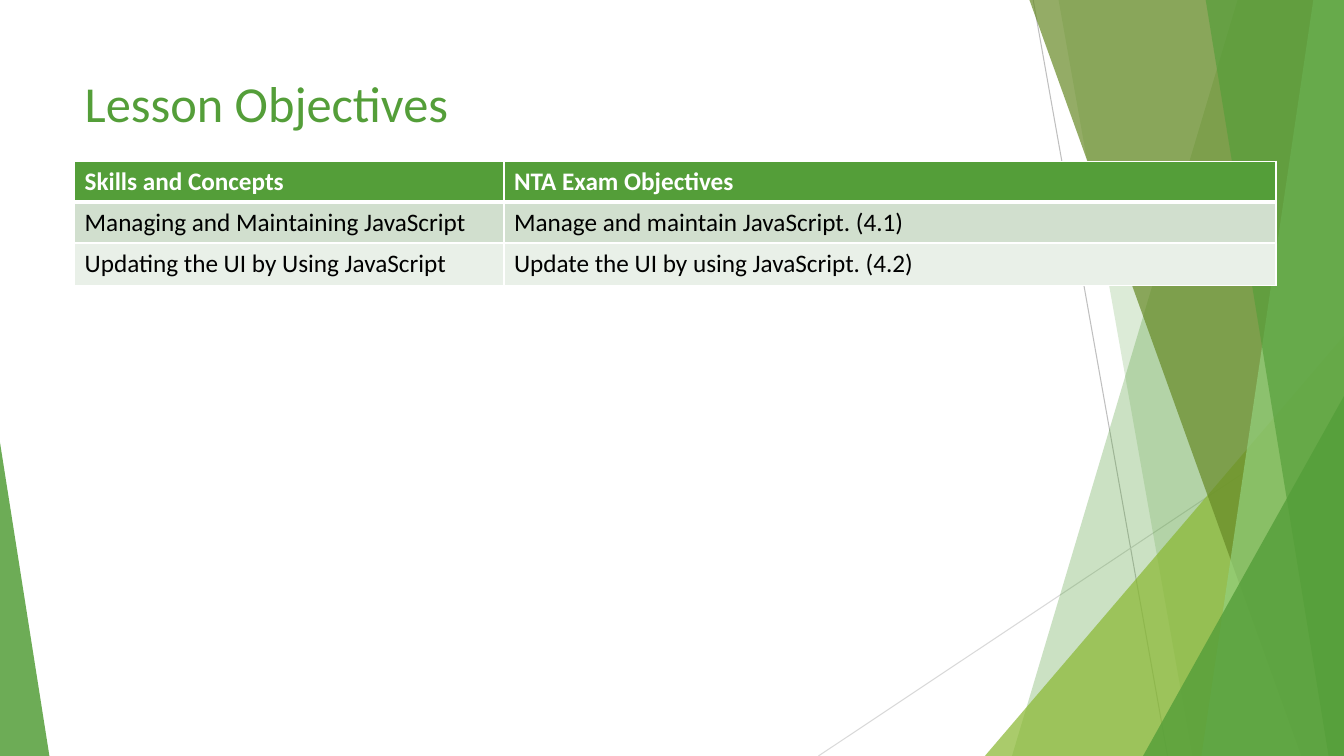
"""Build the lesson objectives slide with its faceted green backdrop."""
from dataclasses import dataclass

import lxml.etree
import pptx
import pptx.dml.color
import pptx.enum.shapes
import pptx.enum.text
import pptx.oxml.ns
import pptx.util

COLOURS = {
    "green": "549E39", "lime": "8AB833", "olive": "678A26", "mint": "93D07D",
    "grey": "BFBFBF", "pale grey": "D9D9D9", "white": "FFFFFF", "black": "000000",
    "band dark": "D1DFCE", "band light": "E9F0E8",
}
FONT = "Calibri"
WIDTH, HEIGHT, TOP = 960, 540, -0.7


@dataclass
class Ray:
    start: tuple[float, float]
    end: tuple[float, float]
    colour: str


@dataclass
class Facet:
    top_left: float
    bottom_left: float
    colour: str
    opacity: int


@dataclass
class Corner:
    left: float
    top: float
    width: float
    apex: float
    colour: str
    opacity: int


@dataclass
class TableRow:
    texts: tuple[str, str]
    height: float
    fill: str
    font: str
    bold: bool
    top_border: float
    bottom_border: float


RAYS = [
    Ray((738, 0), (834, HEIGHT), "grey"),
    Ray((WIDTH, 290), (584.6, HEIGHT), "pale grey"),
]
BACKDROP = [
    Facet(884.2, 722.9, "green", 30),
    Facet(756, 851.8, "green", 20),
    Corner(703.5, 239.8, 256.5, 1, "lime", 72),
    Facet(735.1, 929.5, "olive", 70),
    Facet(938.2, 858.2, "mint", 70),
    Facet(861.1, 949, "green", 65),
    Corner(816.5, 283, 143.5, 1, "green", 80),
    Corner(0, 316.1, 35.3, 0, "green", 85),
]
COLUMN_WIDTHS = (306.7, 551.5)
ROWS = [
    TableRow(("Skills and Concepts", "NTA Exam Objectives"),
             28.8, "green", "white", True, 1, 3),
    TableRow(("Managing and Maintaining JavaScript", "Manage and maintain JavaScript. (4.1)"),
             29.2, "band dark", "black", False, 3, 1),
    TableRow(("Updating the UI by Using JavaScript", "Update the UI by using JavaScript. (4.2)"),
             30.2, "band light", "black", False, 1, 1),
]


def rgb(name: str) -> pptx.dml.color.RGBColor:
    """Look up a named colour."""
    return pptx.dml.color.RGBColor.from_string(COLOURS[name])


def add_child(parent, tag: str, **attributes: str):
    """Append a child element to an XML parent."""
    return lxml.etree.SubElement(parent, pptx.oxml.ns.qn(tag), attributes)


def paint(shape, colour: str, opacity: int) -> None:
    """Give a shape a translucent fill without outline or shadow."""
    shape.shadow.inherit = False
    shape.fill.solid()
    shape.fill.fore_color.rgb = rgb(colour)
    shape.line.fill.background()
    tint = next(shape.element.spPr.iter(pptx.oxml.ns.qn("a:srgbClr")))
    add_child(tint, "a:alpha", val=str(opacity * 1000))


def add_ray(page, ray: Ray) -> None:
    """Draw one thin line of the backdrop."""
    points = [pptx.util.Pt(value) for value in ray.start + ray.end]
    line = page.shapes.add_connector(pptx.enum.shapes.MSO_CONNECTOR.STRAIGHT, *points)
    line.line.color.rgb = rgb(ray.colour)
    line.line.width = pptx.util.Pt(0.75)
    add_child(line.element.spPr, "a:effectLst")


def add_facet(page, facet: Facet) -> None:
    """Draw a full-height panel that ends at the right edge."""
    corners = [(facet.top_left, TOP), (WIDTH, TOP), (WIDTH, HEIGHT),
               (facet.bottom_left, HEIGHT)]
    points = [(pptx.util.Pt(x), pptx.util.Pt(y)) for x, y in corners]
    builder = page.shapes.build_freeform(*points[0])
    builder.add_line_segments(points[1:], close=True)
    paint(builder.convert_to_shape(), facet.colour, facet.opacity)


def add_corner(page, corner: Corner) -> None:
    """Draw a right triangle standing on the bottom edge."""
    bounds = (corner.left, corner.top, corner.width, HEIGHT - corner.top)
    shape = page.shapes.add_shape(pptx.enum.shapes.MSO_SHAPE.ISOSCELES_TRIANGLE,
                                  *[pptx.util.Pt(value) for value in bounds])
    shape.adjustments[0] = corner.apex
    paint(shape, corner.colour, corner.opacity)


def add_span(para, text: str, size: float, colour: str, bold: bool = False) -> None:
    """Add one formatted run to a paragraph."""
    span = para.add_run()
    span.text = text
    span.font.name = FONT
    span.font.size = pptx.util.Pt(size)
    span.font.bold = bold
    span.font.color.rgb = rgb(colour)


def place_title(page) -> None:
    """Move and fill the title placeholder in front of the backdrop."""
    title = page.shapes.title
    title.element.getparent().append(title.element)
    title.left, title.top = pptx.util.Pt(53.3), pptx.util.Pt(48)
    title.width, title.height = pptx.util.Pt(676.8), pptx.util.Pt(104)
    title.text_frame.auto_size = pptx.enum.text.MSO_AUTO_SIZE.NONE
    title.text_frame.vertical_anchor = pptx.enum.text.MSO_ANCHOR.TOP
    para = title.text_frame.paragraphs[0]
    para.alignment = pptx.enum.text.PP_ALIGN.LEFT
    add_span(para, "Lesson Objectives", 36, "green")


def add_borders(cell, top: float, bottom: float) -> None:
    """Draw white borders around a table cell."""
    properties = cell._tc.get_or_add_tcPr()
    for side, width in (("L", 1), ("R", 1), ("T", top), ("B", bottom)):
        border = add_child(properties, f"a:ln{side}", w=str(pptx.util.Pt(width)))
        add_child(add_child(border, "a:solidFill"), "a:srgbClr", val=COLOURS["white"])


def add_objectives(page) -> None:
    """Add the table of skills and exam objectives."""
    bounds = (53.3, 115.2, sum(COLUMN_WIDTHS), sum(row.height for row in ROWS))
    table = page.shapes.add_table(len(ROWS), len(COLUMN_WIDTHS),
                                  *[pptx.util.Pt(value) for value in bounds]).table
    for column, width in zip(table.columns, COLUMN_WIDTHS):
        column.width = pptx.util.Pt(width)
    for index, row in enumerate(ROWS):
        table.rows[index].height = pptx.util.Pt(row.height)
        for cell, text in zip(table.rows[index].cells, row.texts):
            add_borders(cell, row.top_border, row.bottom_border)
            cell.fill.solid()
            cell.fill.fore_color.rgb = rgb(row.fill)
            add_span(cell.text_frame.paragraphs[0], text, 18, row.font, row.bold)


def main() -> None:
    """Assemble and save the deck."""
    deck = pptx.Presentation()
    deck.slide_width, deck.slide_height = pptx.util.Pt(WIDTH), pptx.util.Pt(HEIGHT)
    page = deck.slides.add_slide(deck.slide_layouts[5])
    for ray in RAYS:
        add_ray(page, ray)
    for part in BACKDROP:
        if isinstance(part, Facet):
            add_facet(page, part)
        else:
            add_corner(page, part)
    place_title(page)
    add_objectives(page)
    deck.save("out.pptx")


if __name__ == "__main__":
    main()
